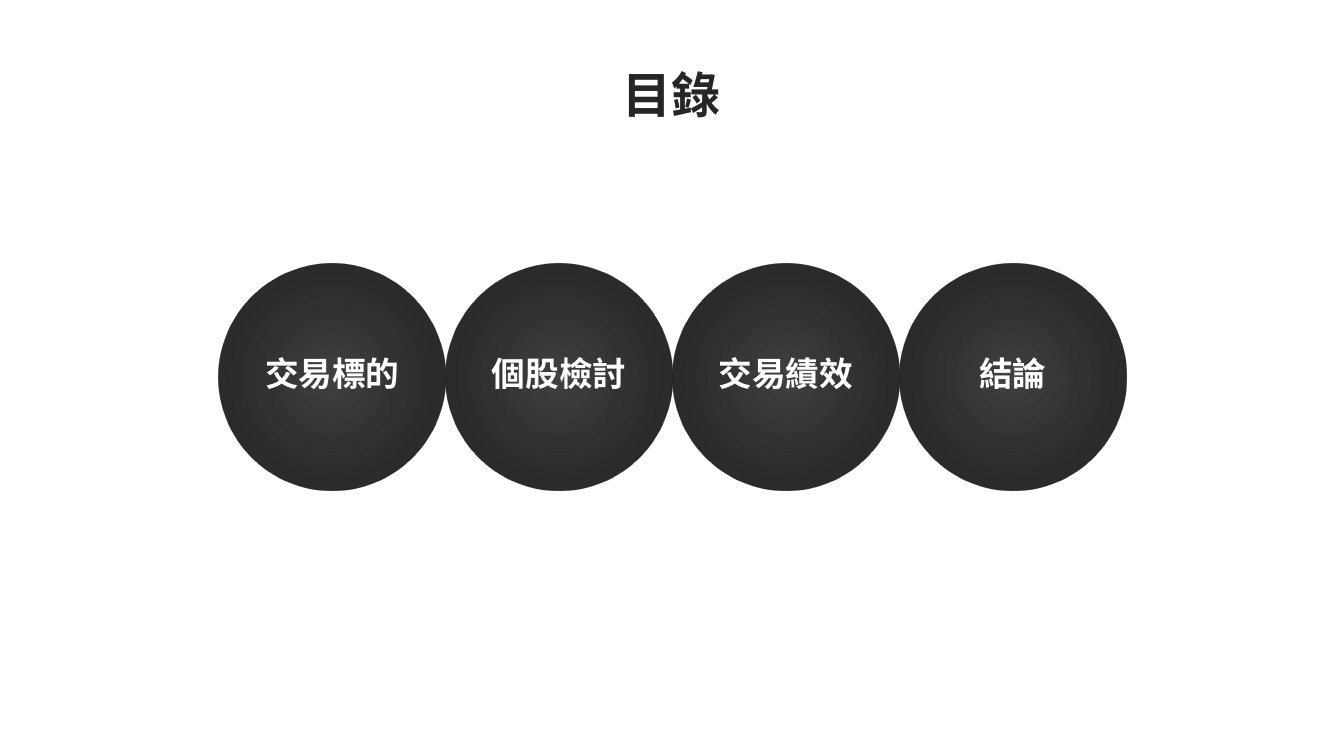
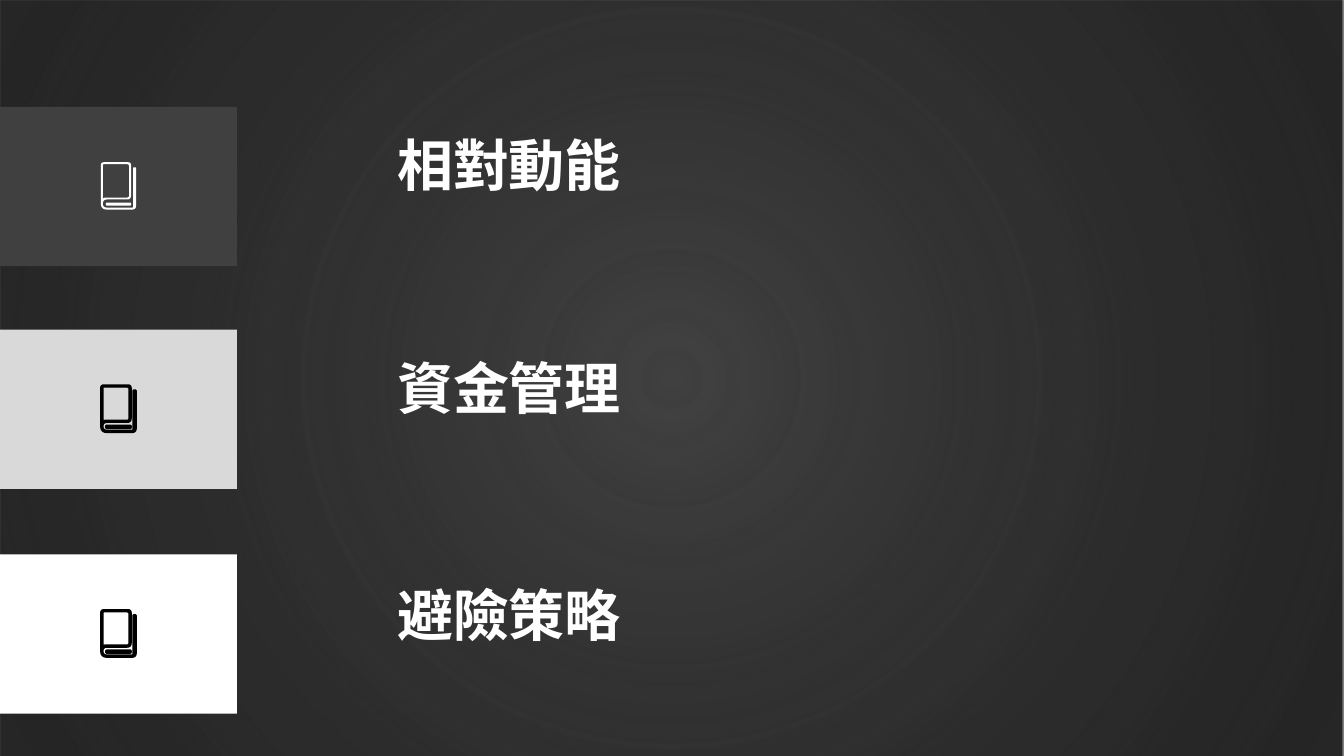
"""Build a contents slide and a strategy slide."""
from dataclasses import dataclass
from math import hypot

from lxml.etree import SubElement
from pptx import Presentation
from pptx.dml.color import RGBColor
from pptx.enum.shapes import MSO_SHAPE
from pptx.enum.text import MSO_ANCHOR, MSO_AUTO_SIZE, PP_ALIGN
from pptx.oxml import parse_xml
from pptx.oxml.ns import nsdecls, qn
from pptx.util import Pt

EMU_PER_PX = 9144
SLIDE_WIDTH, SLIDE_HEIGHT = 1333, 750
TITLE_ONLY_LAYOUT, BLANK_LAYOUT = 5, 6


@dataclass(frozen=True)
class Theme:
    ink: str = "262626"
    black: str = "000000"
    white: str = "FFFFFF"
    charcoal: str = "404040"
    silver: str = "D9D9D9"
    glow_alpha: int = 74
    glow_end: int = 97
    latin_face: str = "Montserrat"
    chinese_face: str = "Noto Sans CJK SC"
    title_size: int = 35
    label_size: int = 24
    label_leading: int = 20
    heading_size: int = 40
    heading_leading: int = 16


THEME = Theme()

TOPICS = ["交易標的", "個股檢討", "交易績效", "結論"]
CIRCLE_LEFT, CIRCLE_TOP, CIRCLE_SIZE = 217, 262, 225
LABEL_TOP, LABEL_WIDTH, LABEL_HEIGHT = 357, 155, 38

STRATEGIES = [
    ("相對動能", 106, 169, THEME.charcoal, THEME.white, 0),
    ("資金管理", 327, 390, THEME.silver, THEME.black, 1),
    ("避險策略", 550, 615, THEME.white, THEME.black, 1),
]
BAND_WIDTH, BAND_HEIGHT = 235, 158
HEADING_LEFT, HEADING_WIDTH, HEADING_HEIGHT = 384, 444, 33

ICON_WIDTH, ICON_HEIGHT = 35, 47
BOOK_OUTLINE = [(32, 5, 1), (32, 45, 1), (2, 45, 4), (2, 37, 4), (30, 37, 4),
                (30, 0, 3), (0, 0, 3), (0, 47, 6), (35, 47, 4), (35, 5, 1)]
BOOK_COVER = [(2, 2, 1), (28, 2, 2), (28, 35, 2), (4, 35, 1), (2, 36, 0)]
BOOK_PAGES = [(5, 40, 1), (30, 40, 1), (30, 43, 1), (5, 43, 1)]
CURVE_STEPS = 4


def px(*lengths):
    """Turn pixel lengths into EMU."""
    return [round(length * EMU_PER_PX) for length in lengths]


def write(frame, text, *, size, color, face=THEME.latin_face, align=PP_ALIGN.LEFT,
          leading=None, anchor=MSO_ANCHOR.TOP):
    """Put one bold formatted paragraph into a text frame."""
    frame.word_wrap = True
    frame.auto_size = MSO_AUTO_SIZE.SHAPE_TO_FIT_TEXT
    frame.vertical_anchor = anchor
    para = frame.paragraphs[0]
    para.alignment = align
    if leading:
        para.line_spacing = Pt(leading)
    span = para.add_run()
    span.text = text
    span.font.size = Pt(size)
    span.font.bold = True
    span.font.name = face
    span.font.color.rgb = RGBColor.from_string(color)
    east_asian = SubElement(span.font._element, qn("a:ea"))
    east_asian.set("typeface", THEME.chinese_face)


def add_text(page, text, left, top, width, height, **text_format):
    """Add a text box holding one formatted paragraph."""
    box = page.shapes.add_textbox(*px(left, top, width, height))
    write(box.text_frame, text, **text_format)


def paint(shape, fill, line_width=0):
    """Give a shape a solid fill and an optional line of the same colour."""
    shape.shadow.inherit = False
    shape.fill.solid()
    shape.fill.fore_color.rgb = RGBColor.from_string(fill)
    if line_width:
        shape.line.color.rgb = RGBColor.from_string(fill)
        shape.line.width = Pt(line_width)
    else:
        shape.line.fill.background()


def add_glow(page, kind, left, top, width, height):
    """Add a shape filled with the dark radial gradient."""
    shape = page.shapes.add_shape(kind, *px(left, top, width, height))
    shape.shadow.inherit = False
    shape.line.fill.background()
    gradient = parse_xml(
        f'<a:gradFill {nsdecls("a")} rotWithShape="1"><a:gsLst>'
        f'<a:gs pos="0"><a:srgbClr val="{THEME.black}">'
        f'<a:alpha val="{THEME.glow_alpha * 1000}"/></a:srgbClr></a:gs>'
        f'<a:gs pos="{THEME.glow_end * 1000}"><a:srgbClr val="{THEME.ink}"/></a:gs>'
        '</a:gsLst><a:path path="circle">'
        '<a:fillToRect l="50000" t="50000" r="50000" b="50000"/></a:path></a:gradFill>')
    shape._element.spPr.find(qn("a:prstGeom")).addnext(gradient)


def toward(start, end, distance):
    """Find the point at a distance from start along the way to end."""
    ratio = distance / hypot(end[0] - start[0], end[1] - start[1])
    return [a + (b - a) * ratio for a, b in zip(start, end)]


def round_corners(corners, left, top):
    """Trace a polygon with rounded corners as EMU points."""
    points = []
    for index, (x, y, radius) in enumerate(corners):
        corner = (x, y)
        entry = toward(corner, corners[index - 1][:2], radius)
        leave = toward(corner, corners[(index + 1) % len(corners)][:2], radius)
        for step in range(CURVE_STEPS + 1):
            t = step / CURVE_STEPS
            curve = [(1 - t) ** 2 * a + 2 * t * (1 - t) * b + t ** 2 * c
                     for a, b, c in zip(entry, corner, leave)]
            points.append(px(left + curve[0], top + curve[1]))
    return points


def add_outline(page, contours, left, top, color, line_width):
    """Add one freeform made of rounded contours."""
    first, *others = [round_corners(corners, left, top) for corners in contours]
    builder = page.shapes.build_freeform(*first[0], scale=1.0)
    builder.add_line_segments(first[1:], close=True)
    for points in others:
        builder.move_to(*points[0])
        builder.add_line_segments(points[1:], close=True)
    shape = builder.convert_to_shape()
    paint(shape, color, line_width)
    return shape


def add_book(page, left, top, color, line_width):
    """Add a grouped book icon."""
    parts = [add_outline(page, contours, left, top, color, line_width)
             for contours in ([BOOK_PAGES], [BOOK_OUTLINE, BOOK_COVER])]
    page.shapes.add_group_shape(parts)


def add_band(page, top, fill):
    """Add a colour band at the left edge."""
    band = page.shapes.add_shape(MSO_SHAPE.RECTANGLE, *px(0, top, BAND_WIDTH, BAND_HEIGHT))
    paint(band, fill)


def add_title(page, text):
    """Place and fill the title placeholder."""
    title = page.shapes.title
    title.left, title.top, title.width, title.height = px(330, 59, 673, 69)
    write(title.text_frame, text, size=THEME.title_size, color=THEME.ink,
          align=PP_ALIGN.CENTER)


def build_contents(deck):
    """Build the contents slide with a row of touching circles."""
    page = deck.slides.add_slide(deck.slide_layouts[TITLE_ONLY_LAYOUT])
    add_title(page, "目錄")
    for index, topic in enumerate(TOPICS):
        left = CIRCLE_LEFT + index * CIRCLE_SIZE
        add_glow(page, MSO_SHAPE.OVAL, left, CIRCLE_TOP, CIRCLE_SIZE, CIRCLE_SIZE)
        add_text(page, topic, left + (CIRCLE_SIZE - LABEL_WIDTH) // 2, LABEL_TOP,
                 LABEL_WIDTH, LABEL_HEIGHT, size=THEME.label_size, color=THEME.white,
                 align=PP_ALIGN.CENTER, leading=THEME.label_leading)


def build_strategies(deck):
    """Build the dark slide with three strategy headings."""
    page = deck.slides.add_slide(deck.slide_layouts[BLANK_LAYOUT])
    add_glow(page, MSO_SHAPE.RECTANGLE, 0, 0, SLIDE_WIDTH, SLIDE_HEIGHT)
    for heading, band_top, heading_top, fill, icon_color, line_width in STRATEGIES:
        add_band(page, band_top, fill)
        add_book(page, (BAND_WIDTH - ICON_WIDTH) // 2,
                 band_top + (BAND_HEIGHT - ICON_HEIGHT) // 2, icon_color, line_width)
        add_text(page, heading, HEADING_LEFT, heading_top, HEADING_WIDTH, HEADING_HEIGHT,
                 size=THEME.heading_size, color=THEME.white, face=THEME.chinese_face,
                 leading=THEME.heading_leading, anchor=MSO_ANCHOR.MIDDLE)


def main():
    """Build and save the deck."""
    deck = Presentation()
    deck.slide_width, deck.slide_height = px(SLIDE_WIDTH, SLIDE_HEIGHT)
    build_contents(deck)
    build_strategies(deck)
    deck.save("out.pptx")


if __name__ == "__main__":
    main()
